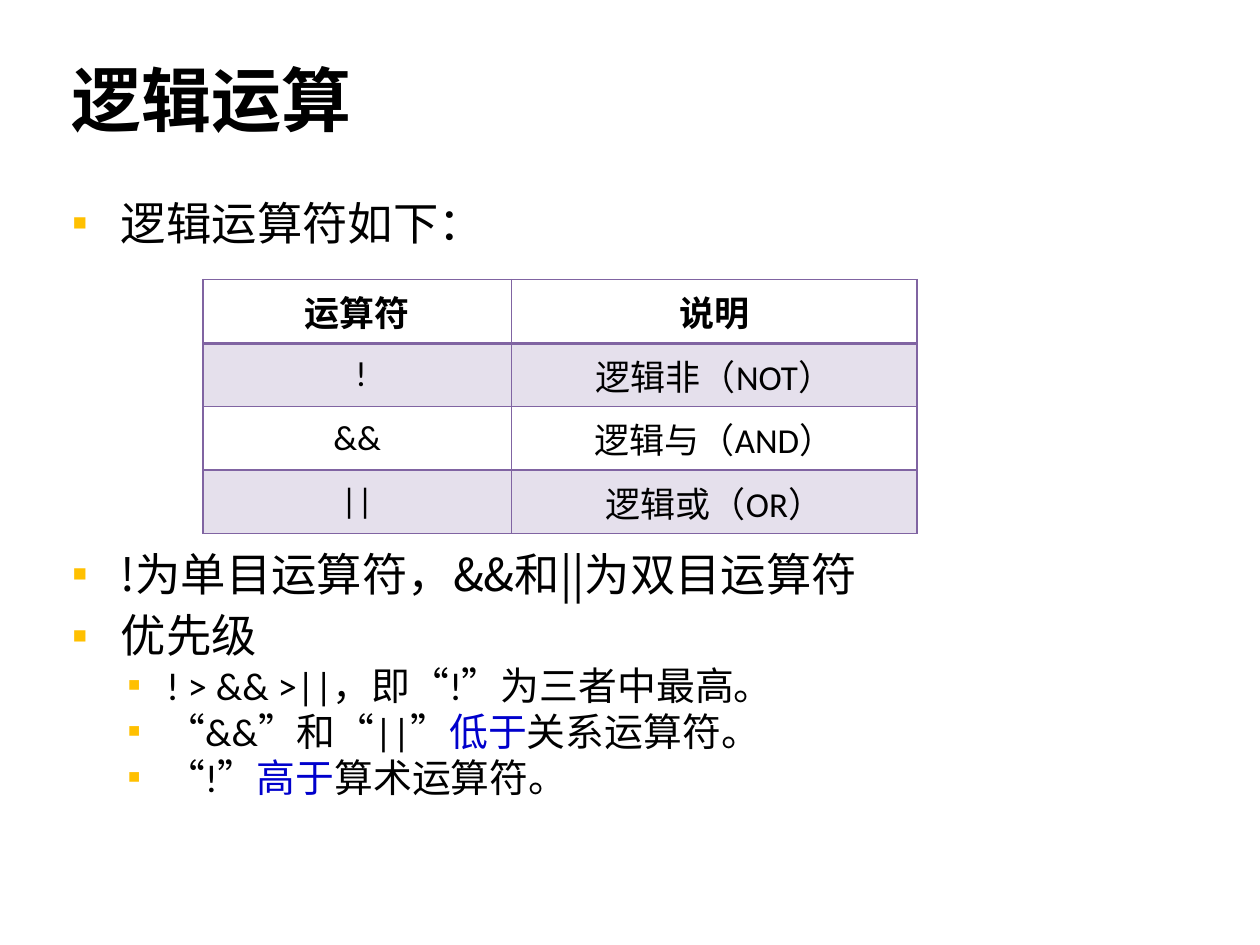
import pptx
import pptx.util
import pptx.dml.color
import pptx.enum.lang
import pptx.enum.text
import pptx.oxml
import pptx.oxml.ns
from lxml import etree

Inches, Pt = pptx.util.Inches, pptx.util.Pt
COLORS = {"text": "000000", "accent": "0000CC", "bullet": "FFC000", "grid": "8064A2"}
LATIN, QUOTE, CJK = "Calibri", "Arial", "Noto Sans CJK SC"


def add_xml(parent, tag, **attributes):
    return etree.SubElement(parent, pptx.oxml.ns.qn(tag), attributes)


class SlideBuilder:
    """Holds the deck style and the current page."""

    def __init__(self, deck):
        self.page = deck.slides.add_slide(deck.slide_layouts[1])

    def span(self, para, text, size, font=LATIN, color="text", bold=False):
        span = para.add_run()
        span.text = text
        span.font.size = Pt(size)
        span.font.name = font
        span.font.bold = bold
        span.font.color.rgb = pptx.dml.color.RGBColor.from_string(COLORS[color])
        span.font.language_id = pptx.enum.lang.MSO_LANGUAGE_ID.SIMPLIFIED_CHINESE
        add_xml(span.font._element, "a:ea", typeface=CJK)

    def place(self, box, left, top, width, height):
        box.left, box.top = Inches(left), Inches(top)
        box.width, box.height = Inches(width), Inches(height)
        frame = box.text_frame
        frame.word_wrap = True
        frame.auto_size = pptx.enum.text.MSO_AUTO_SIZE.NONE
        frame.vertical_anchor = pptx.enum.text.MSO_ANCHOR.TOP
        return frame

    def title(self, text, *bounds):
        para = self.place(self.page.shapes.title, *bounds).paragraphs[0]
        para.alignment = pptx.enum.text.PP_ALIGN.LEFT
        para.line_spacing = 0.9
        self.span(para, text, 40, bold=True)

    def bullets(self, items, *bounds):
        frame = self.place(self.page.placeholders[1], *bounds)
        for index, (level, before, spans) in enumerate(items):
            para = frame.paragraphs[0] if index == 0 else frame.add_paragraph()
            para.level = level
            para.line_spacing = 0.8
            para.space_before = Pt(before)
            left, hanging, size = ((0.39, 0.39, 25.9), (0.75, 0.31, 22.2))[level]
            props = para._p.get_or_add_pPr()
            props.set("marL", str(Inches(left)))
            props.set("indent", str(-Inches(hanging)))
            color = add_xml(props, "a:buClr")
            add_xml(color, "a:srgbClr", val=COLORS["bullet"])
            add_xml(props, "a:buFont", typeface="Arial")
            add_xml(props, "a:buChar", char="▪")
            for text, font, color_name in spans:
                self.span(para, text, size, font, color_name)

    def border(self, cell, side, width):
        line = add_xml(cell._tc.get_or_add_tcPr(), f"a:ln{side}", w=str(Pt(width)))
        add_xml(add_xml(line, "a:solidFill"), "a:srgbClr", val=COLORS["grid"])

    def table(self, rows, widths, row_height, *bounds):
        frame = self.page.shapes.add_table(len(rows), len(widths), *map(Inches, bounds))
        grid = frame.table
        grid.first_row = grid.horz_banding = False
        for column, width in zip(grid.columns, widths):
            column.width = Inches(width)
        for r, texts in enumerate(rows):
            grid.rows[r].height = Inches(row_height)
            for c, text in enumerate(texts):
                cell = grid.cell(r, c)
                cell.vertical_anchor = pptx.enum.text.MSO_ANCHOR.MIDDLE
                # The line under the header is heavier
                for side, width in (("L", 1), ("R", 1), ("T", 2 if r == 1 else 1),
                                    ("B", 2 if r == 0 else 1)):
                    self.border(cell, side, width)
                if r % 2:
                    cell.fill.solid()
                    cell.fill.fore_color.rgb = pptx.dml.color.RGBColor.from_string(COLORS["grid"])
                    tint = cell._tc.tcPr.find(pptx.oxml.ns.qn("a:solidFill"))[0]
                    add_xml(tint, "a:alpha", val="20000")
                else:
                    cell.fill.background()
                para = cell.text_frame.paragraphs[0]
                para.alignment = pptx.enum.text.PP_ALIGN.CENTER
                self.span(para, text, 20, bold=r == 0)


def plain(text, font=LATIN):
    return text, font, "text"


def accent(text):
    return text, LATIN, "accent"


def quoted(text):
    return [plain("“", QUOTE), plain(text), plain("”", QUOTE)]


def main():
    deck = pptx.Presentation()
    deck.slide_width, deck.slide_height = Inches(10), Inches(7.5)
    builder = SlideBuilder(deck)

    # Title
    builder.title("逻辑运算", 0.47, 0.47, 9.06, 0.97)

    # Bullets, with room for the table after the first one
    builder.bullets([
        (0, 0, [plain("逻辑运算符如下：", CJK)]),
        (0, 176, [plain("!为单目运算符，&&和||为双目运算符", CJK)]),
        (0, 10, [plain("优先级", CJK)]),
        (1, 5, [plain("! > && >||，即"), *quoted("!"), plain("为三者中最高。")]),
        (1, 5, [*quoted("&&"), plain("和"), *quoted("||"),
                accent("低于"), plain("关系运算符。")]),
        (1, 5, [*quoted("!"), accent("高于"), plain("算术运算符。")]),
    ], 0.47, 1.58, 9.06, 5.15)

    # Operator table
    builder.table([
        ("运算符", "说明"),
        (" !", "逻辑非（NOT）"),
        ("&&", "逻辑与（AND）"),
        ("||", "逻辑或（OR）"),
    ], (2.45, 3.22), 0.38, 1.61, 2.22, 5.67, 1.73)

    deck.save("out.pptx")


if __name__ == "__main__":
    main()
